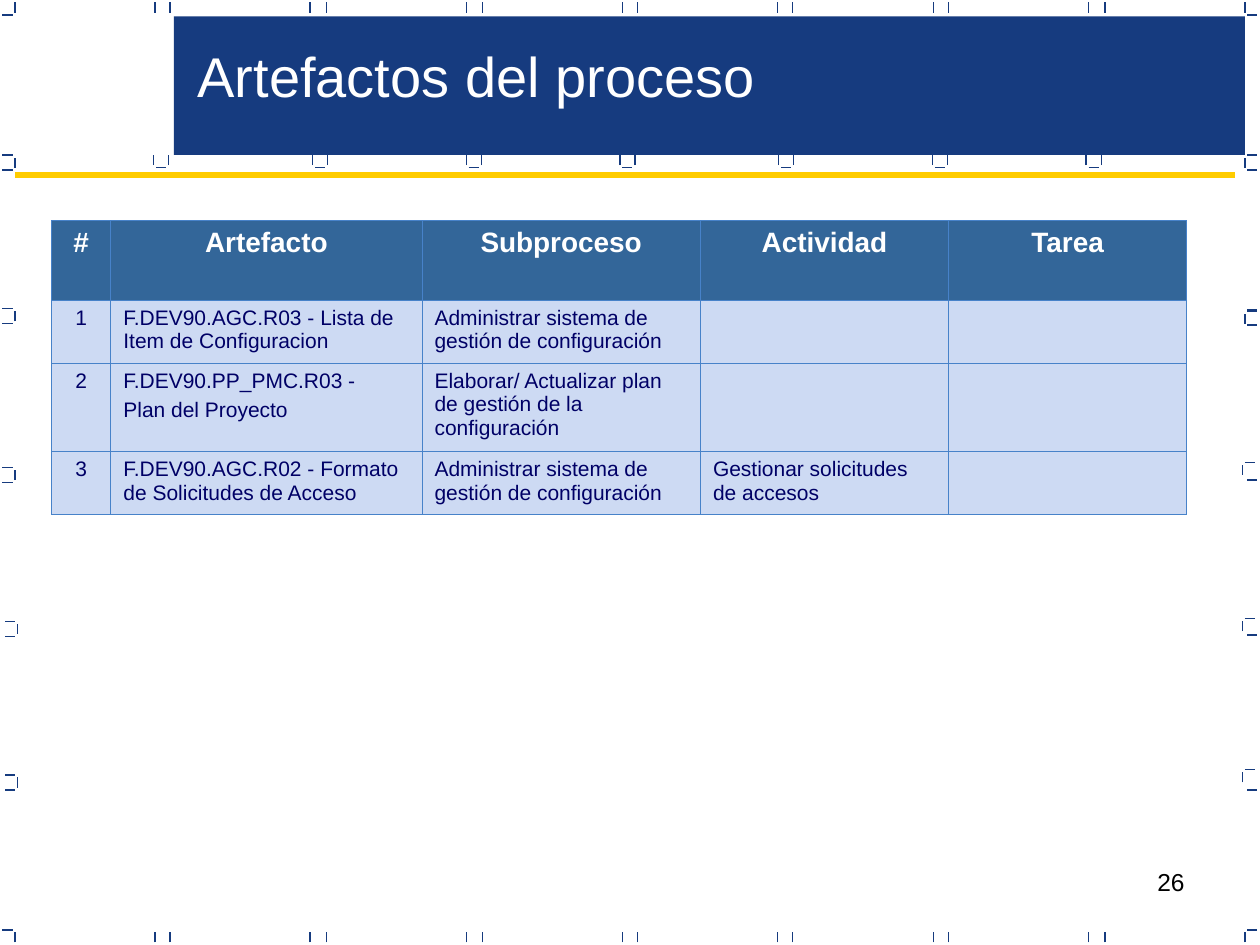
from lxml.etree import SubElement
from pptx import Presentation
from pptx.dml.color import RGBColor
from pptx.enum.shapes import MSO_CONNECTOR, MSO_SHAPE
from pptx.enum.text import PP_ALIGN
from pptx.oxml import parse_xml
from pptx.oxml.ns import nsdecls, qn
from pptx.util import Inches, Pt

NAVY, YELLOW, WHITE, BLACK = "163B7F", "FFCC00", "FFFFFF", "000000"
HEADER_FILL, BODY_FILL, BODY_TEXT, BORDER = "336699", "CDDAF3", "000066", "4782C9"

TITLE = "Artefactos del proceso"
PAGE_NUMBER = "26"
HEADER = ["#", "Artefacto", "Subproceso", "Actividad", "Tarea"]
ROWS = [
    ["1", "F.DEV90.AGC.R03 - Lista de Item de Configuracion",
     "Administrar sistema de gestión de configuración", "", ""],
    ["2", "F.DEV90.PP_PMC.R03 -\nPlan del Proyecto",
     "Elaborar/ Actualizar plan de gestión de la configuración", "", ""],
    ["3", "F.DEV90.AGC.R02 - Formato de Solicitudes de Acceso",
     "Administrar sistema de gestión de configuración",
     "Gestionar solicitudes de accesos", ""],
]
COLUMN_WIDTHS = [0.47, 2.47, 2.21, 1.97, 1.89]
ROW_HEIGHTS = [0.63, 0.5, 0.7, 0.5]

# Border marks: a tick is TICK long, and GAP separates it from its neighbours.
TICK, GAP = 0.08, 0.02
EDGE = TICK + GAP
EDGE_TICKS_Y = [0.02, 7.4]
EDGE_PAIRS_X = [1.23 + 1.235 * i for i in range(7)]
HEADER_BRACKETS_X = [1.22, 2.48, 3.7, 4.92, 6.18, 7.4, 8.62]
# (left, top, horizontal ticks drawn)
LEFT_MARKS = [
    (0.02, 0, "bottom"), (0.02, 1.23, "top bottom"), (0.02, 2.45, "top bottom"),
    (0.02, 3.71, "top bottom"), (0.04, 4.93, "top bottom"),
    (0.04, 6.15, "top bottom"), (0.02, 7.38, "top"),
]
RIGHT_MARKS = [
    (9.88, 0, "bottom"), (9.88, 1.23, "top"), (9.88, 2.47, "top"), (9.86, 3.67, "top"),
    (9.86, 4.91, "top"), (9.86, 6.11, "top"), (9.88, 7.38, "top"),
]
RIGHT_TICKS_Y = [2.46] + [1.35 + 1.23 * i for i in range(5)]


def color(value):
    return RGBColor.from_string(value)


def add_line(slide, start, end, line_color=NAVY, width=0.75):
    points = [Inches(round(value, 2)) for value in (*start, *end)]
    line = slide.shapes.add_connector(MSO_CONNECTOR.STRAIGHT, *points)
    line.line.color.rgb = color(line_color)
    line.line.width = Pt(width)
    SubElement(line._element.spPr, qn("a:effectLst"))


def add_vertical_tick(slide, x, y):
    add_line(slide, (x, y + TICK), (x, y))


def add_horizontal_tick(slide, x, y):
    add_line(slide, (x, y), (x + TICK, y))


def add_side_mark(slide, vertical_x, horizontal_x, top, sides):
    add_vertical_tick(slide, vertical_x, top + GAP)
    for side, offset in (("top", 0), ("bottom", EDGE + GAP)):
        if side in sides:
            add_horizontal_tick(slide, horizontal_x, top + offset)


def add_border_marks(slide):
    for x in EDGE_PAIRS_X:
        for y in EDGE_TICKS_Y:
            add_vertical_tick(slide, x, y)
            add_vertical_tick(slide, x + 0.125, y)
    for x in HEADER_BRACKETS_X:
        add_vertical_tick(slide, x, 1.23)
        add_vertical_tick(slide, x + EDGE + GAP, 1.23)
        add_horizontal_tick(slide, x + GAP, 1.33)
    for left, top, sides in LEFT_MARKS:
        add_side_mark(slide, left + EDGE, left, top, sides)
    for left, top, sides in RIGHT_MARKS:
        add_side_mark(slide, left, left + GAP, top, sides)
    for y in RIGHT_TICKS_Y:
        add_horizontal_tick(slide, 9.9, y)


def write_text(frame, text, align=PP_ALIGN.LEFT, space=0, **font_values):
    for index, line in enumerate(text.split("\n")):
        paragraph = frame.add_paragraph() if index else frame.paragraphs[0]
        paragraph.text = line
        paragraph.alignment = align
        if index:
            paragraph.space_before = Pt(space)
        font_color = font_values["color"]
        paragraph.font.color.rgb = color(font_color)
        paragraph.font.size = Pt(font_values["size"])
        paragraph.font.name = "Arial"
        paragraph.font.bold = font_values.get("bold", False)


def add_text(slide, box, text, wrap=True, **format_values):
    shape = slide.shapes.add_textbox(*map(Inches, box))
    shape.text_frame.word_wrap = wrap
    write_text(shape.text_frame, text, **format_values)


def set_borders(cell):
    properties = cell._tc.get_or_add_tcPr()
    for index, side in enumerate(("lnL", "lnR", "lnT", "lnB")):
        properties.insert(index, parse_xml(
            f'<a:{side} {nsdecls("a")} w="{Pt(0.45)}"><a:solidFill>'
            f'<a:srgbClr val="{BORDER}"/></a:solidFill></a:{side}>'))


def add_artifact_table(slide):
    box = (0.41, 1.75, sum(COLUMN_WIDTHS), sum(ROW_HEIGHTS))
    table = slide.shapes.add_table(
        len(ROW_HEIGHTS), len(COLUMN_WIDTHS), *map(Inches, box)).table
    table.first_row = table.horz_banding = False
    for column, width in zip(table.columns, COLUMN_WIDTHS):
        column.width = Inches(width)
    for row, height in zip(table.rows, ROW_HEIGHTS):
        row.height = Inches(height)
    for row_index, texts in enumerate([HEADER] + ROWS):
        is_header = row_index == 0
        font_values = (dict(size=16, color=WHITE, bold=True) if is_header
                       else dict(size=12, color=BODY_TEXT))
        for column_index, text in enumerate(texts):
            cell = table.cell(row_index, column_index)
            cell.fill.solid()
            cell.fill.fore_color.rgb = color(HEADER_FILL if is_header else BODY_FILL)
            set_borders(cell)
            centered = is_header or column_index == 0
            write_text(cell.text_frame, text, space=3,
                       align=PP_ALIGN.CENTER if centered else PP_ALIGN.LEFT,
                       **font_values)


def main():
    presentation = Presentation()
    presentation.slide_width, presentation.slide_height = Inches(10), Inches(7.5)
    slide = presentation.slides.add_slide(presentation.slide_layouts[6])

    add_text(slide, (7.17, 6.83, 2.33, 0.52), PAGE_NUMBER,
             align=PP_ALIGN.RIGHT, size=14, color=BLACK)
    band = slide.shapes.add_shape(
        MSO_SHAPE.RECTANGLE, *map(Inches, (1.38, 0.13, 8.5, 1.1)))
    band.shadow.inherit = False
    band.fill.solid()
    band.fill.fore_color.rgb = color(NAVY)
    band.line.fill.background()
    add_border_marks(slide)
    add_text(slide, (1.47, 0.28, 4.63, 0.64), TITLE, wrap=False, size=32, color=WHITE)
    add_artifact_table(slide)
    add_line(slide, (0.12, 1.39), (9.8, 1.39), YELLOW, 3)
    presentation.save("out.pptx")


if __name__ == "__main__":
    main()
